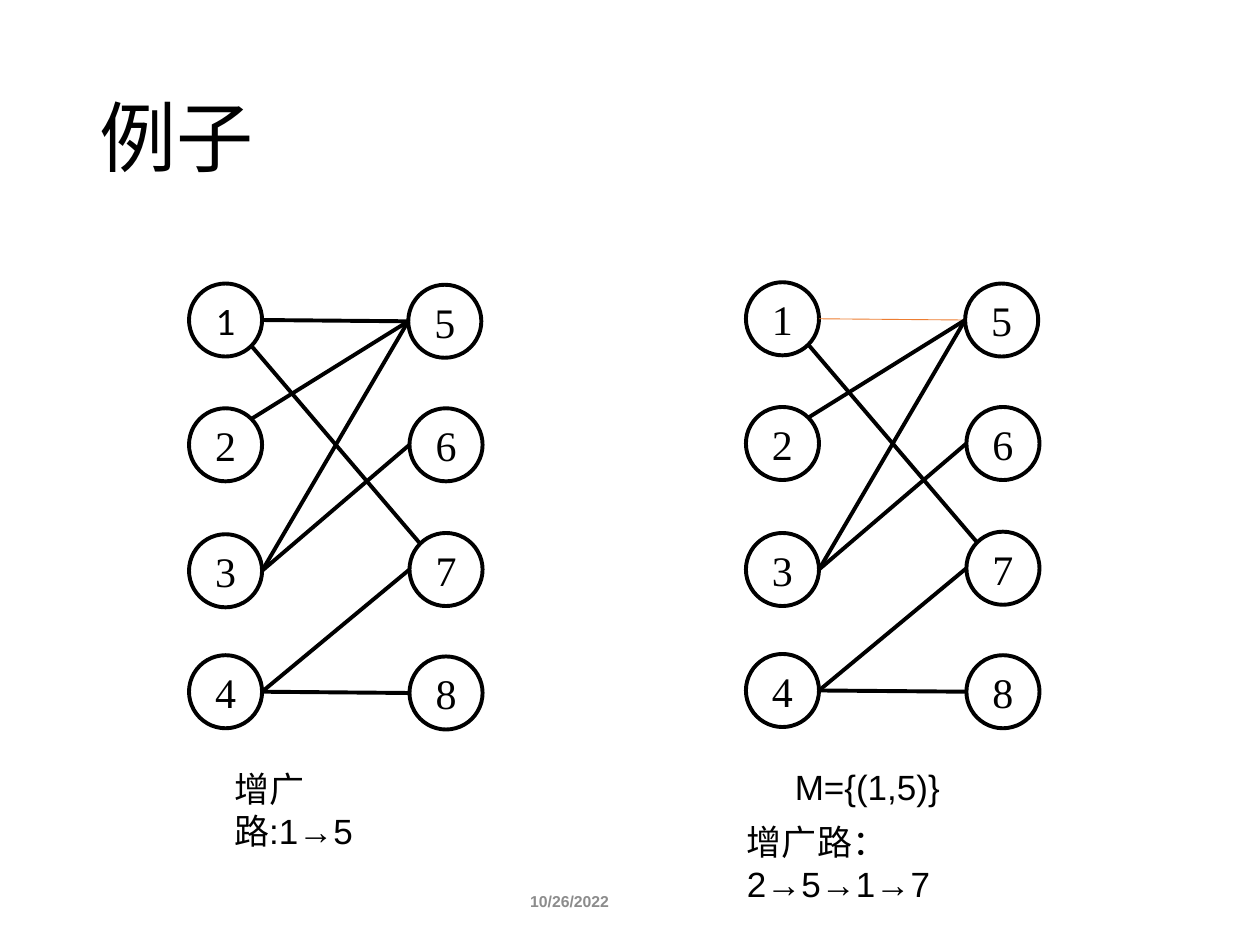
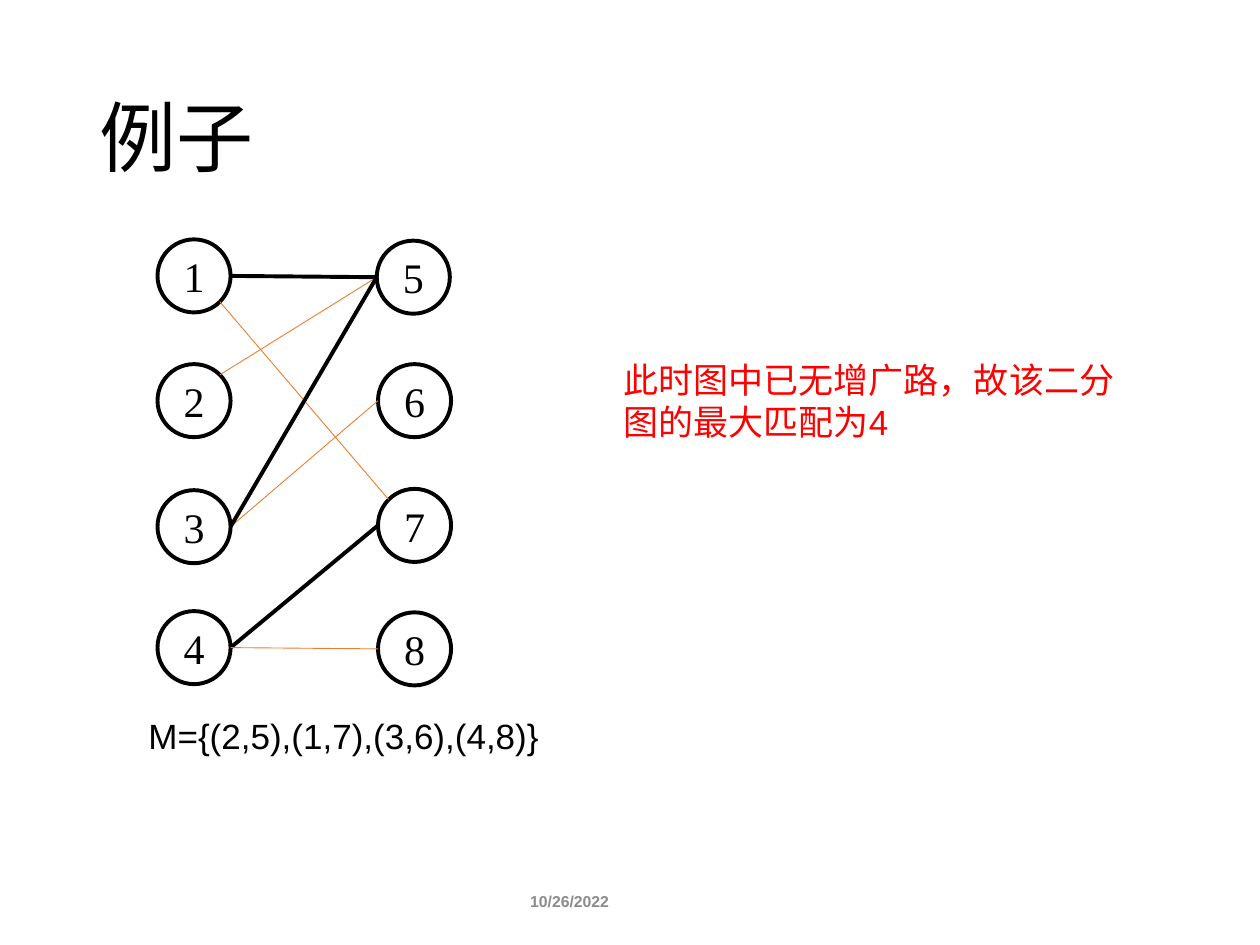
import math

import lxml.etree
import pptx
import pptx.dml.color
import pptx.enum.shapes
import pptx.enum.text
import pptx.oxml.ns
import pptx.util
from pptx.util import Inches

BLACK = pptx.dml.color.RGBColor(0x00, 0x00, 0x00)
ORANGE = pptx.dml.color.RGBColor(0xED, 0x7D, 0x31)
RED = pptx.dml.color.RGBColor(0xFF, 0x00, 0x00)
GRAY = pptx.dml.color.RGBColor(0x8C, 0x8C, 0x8C)

TITLE_ONLY = 5
DIAMETER = 0.58

# Top left corner of each node, relative to its graph
NODES = {
    1: (0, 0), 2: (0, 0.99), 3: (0, 1.99), 4: (0, 2.95),
    5: (1.74, 0.01), 6: (1.75, 0.99), 7: (1.75, 1.98), 8: (1.75, 2.96),
}
# Edges, with the angles (degrees, clockwise from the right) where they meet the nodes
EDGES = {
    (1, 5): (0, 180), (1, 7): (45, 225), (2, 5): (-45, 180), (3, 6): (0, 180),
    (3, 5): (0, 180), (4, 7): (0, 180), (4, 8): (0, 180),
}


def style_font(paragraph, size, color, name="Arial", bold=False):
    paragraph.font.size = pptx.util.Pt(size)
    paragraph.font.name = name
    paragraph.font.bold = bold
    paragraph.font.color.rgb = color


def add_label(slide, box, text, color=BLACK, size=20, bold=False):
    left, top, width, height = box
    label = slide.shapes.add_textbox(Inches(left), Inches(top), Inches(width), Inches(height))
    label.text_frame.word_wrap = True
    label.text_frame.text = text
    for paragraph in label.text_frame.paragraphs:
        style_font(paragraph, size, color, bold=bold)
    return label


def add_example_slide(presentation):
    """Add a slide with the shared title and date."""
    slide = presentation.slides.add_slide(presentation.slide_layouts[TITLE_ONLY])
    title = slide.shapes.title
    title.left, title.top = Inches(0.69), Inches(0.4)
    title.width, title.height = Inches(8.62), Inches(1.45)
    frame = title.text_frame
    frame.text = "例子"
    frame.auto_size = pptx.enum.text.MSO_AUTO_SIZE.NONE
    frame.vertical_anchor = pptx.enum.text.MSO_ANCHOR.MIDDLE
    paragraph = frame.paragraphs[0]
    paragraph.alignment = pptx.enum.text.PP_ALIGN.LEFT
    paragraph.line_spacing = 0.9
    style_font(paragraph, 44, BLACK, "Calibri")

    date = add_label(slide, (4.11, 6.95, 1, 0.4), "10/26/2022", GRAY, 9, True)
    date.text_frame.vertical_anchor = pptx.enum.text.MSO_ANCHOR.MIDDLE
    return slide


def add_node(slide, left, top, number, font_name, size):
    node = slide.shapes.add_shape(
        pptx.enum.shapes.MSO_SHAPE.OVAL,
        Inches(left), Inches(top), Inches(DIAMETER), Inches(DIAMETER))
    node.shadow.inherit = False
    node.fill.background()
    node.line.color.rgb = BLACK
    node.line.width = pptx.util.Pt(2.25)
    frame = node.text_frame
    frame.word_wrap = False
    frame.vertical_anchor = pptx.enum.text.MSO_ANCHOR.MIDDLE
    frame.text = str(number)
    frame.paragraphs[0].alignment = pptx.enum.text.PP_ALIGN.CENTER
    style_font(frame.paragraphs[0], size, BLACK, font_name)


def rim_point(left, top, number, angle):
    """Return the point on a node's rim at the given angle."""
    radius = DIAMETER / 2
    node_left, node_top = NODES[number]
    x = left + node_left + radius * (1 + math.cos(math.radians(angle)))
    y = top + node_top + radius * (1 + math.sin(math.radians(angle)))
    return Inches(x), Inches(y)


def add_graph(slide, left, top, matching=(), first_font=("Times New Roman", 24)):
    """Draw the bipartite graph; edges in the matching are thin and orange."""
    for number, (x, y) in NODES.items():
        font = first_font if number == 1 else ("Times New Roman", 24)
        add_node(slide, left + x, top + y, number, *font)
    for edge, angles in EDGES.items():
        begin, end = (rim_point(left, top, number, angle)
                      for number, angle in zip(edge, angles))
        line = slide.shapes.add_connector(
            pptx.enum.shapes.MSO_CONNECTOR.STRAIGHT, *begin, *end)
        matched = edge in matching
        line.line.color.rgb = ORANGE if matched else BLACK
        line.line.width = pptx.util.Pt(0.5 if matched else 2.25)
        properties = line._element.spPr
        lxml.etree.SubElement(properties, pptx.oxml.ns.qn("a:effectLst"))


def build_first_steps(presentation):
    slide = add_example_slide(presentation)
    # Empty matching
    add_graph(slide, 1.5, 2.25, first_font=("Calibri", 22.2))
    add_label(slide, (1.76, 6.04, 1.65, 0.77), "增广路:1→5")
    # Matching after the first augmenting path
    add_graph(slide, 5.92, 2.24, matching=[(1, 5)])
    add_label(slide, (6.21, 6.03, 1.4, 0.44), "M={(1,5)}")
    add_label(slide, (5.83, 6.46, 2.6, 0.77), "增广路：2→5→1→7")


def build_result(presentation):
    slide = add_example_slide(presentation)
    add_graph(slide, 1.25, 1.9, matching=[(2, 5), (1, 7), (3, 6), (4, 8)])
    add_label(slide, (1.08, 5.62, 3.4, 0.44), "M={(2,5),(1,7),(3,6),(4,8)}")
    add_label(slide, (4.85, 2.8, 4.13, 0.77),
              "此时图中已无增广路，故该二分\n图的最大匹配为4", RED)


def main():
    presentation = pptx.Presentation()
    presentation.slide_width = Inches(10)
    presentation.slide_height = Inches(7.5)
    build_first_steps(presentation)
    build_result(presentation)
    presentation.save("out.pptx")


if __name__ == "__main__":
    main()
